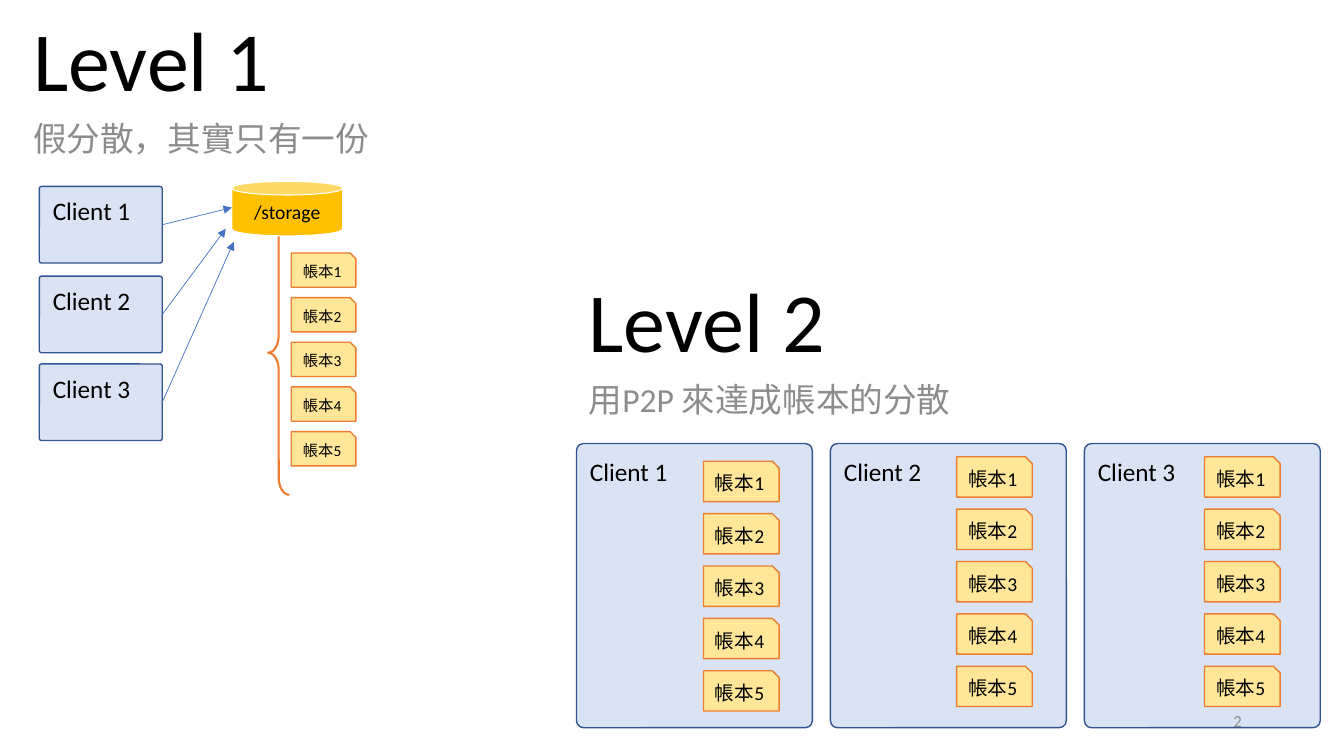
"""Build the slide comparing a shared ledger store (Level 1) with P2P ledgers (Level 2)."""
from pptx import Presentation
from pptx.dml.color import RGBColor
from pptx.enum import shapes as kinds, text as txt
from pptx.oxml.ns import qn
from pptx.util import Pt
from lxml import etree

FONT = "Calibri"
COLORS = {"ink": "000000", "grey": "8C8C8C", "client": "DAE3F3", "client_edge": "325491",
          "ledger": "FFE699", "ledger_edge": "ED7D31", "store": "FFC000",
          "store_edge": "FFFFFF", "arrow": "4472C4"}
LEVEL_1 = ("Level 1", "假分散，其實只有一份")
LEVEL_2 = ("Level 2", "用P2P 來達成帳本的分散")
CLIENTS = ["Client 1", "Client 2", "Client 3"]
LEDGERS = ["帳本1", "帳本2", "帳本3", "帳本4", "帳本5"]
STORAGE = "/storage"
PAGE_NUMBER = "2"

PANEL_LEFT, PANEL_TOP, PANEL_STEP = 411.8, 316.8, 181.4
PANEL_SIZE = (168.5, 203)
PANEL_LEDGERS = [(502.5, 329.5), (683.3, 326.3), (860.4, 326.3)]
PEER_LEDGER = {"size": (54, 28.8), "step": 37.4, "font_size": 14}
SHARED_LEDGER = {"size": (46.1, 24.5), "step": 31.9, "font_size": 11}
CLIENT_LEFT, CLIENT_TOPS, CLIENT_SIZE = 28.1, [133.2, 197.3, 260], (87.8, 54.7)
ARROW_ENDS = [(165.6, 148.3), (161.3, 163.4), (167, 172.8)]

prs = Presentation()
prs.slide_width, prs.slide_height = Pt(960), Pt(540)
slide = prs.slides.add_slide(prs.slide_layouts[1])
SHAPE, ANCHOR, ALIGN = kinds.MSO_SHAPE, txt.MSO_ANCHOR, txt.PP_ALIGN


def rgb(name):
    return RGBColor.from_string(COLORS[name])


def write(part, words, size, color="ink", anchor=ANCHOR.TOP, align=ALIGN.LEFT, wrap=True):
    frame = part.text_frame
    frame.text = words
    frame.auto_size = txt.MSO_AUTO_SIZE.NONE
    frame.word_wrap, frame.vertical_anchor = wrap, anchor
    paragraph = frame.paragraphs[0]
    paragraph.alignment = align
    paragraph.font.size, paragraph.font.name = Pt(size), FONT
    paragraph.font.color.rgb = rgb(color)
    return paragraph


def textbox(left, top, width, height):
    return slide.shapes.add_textbox(Pt(left), Pt(top), Pt(width), Pt(height))


def place(part, left, top, width, height):
    part.left, part.top, part.width, part.height = Pt(left), Pt(top), Pt(width), Pt(height)


def draw(kind, left, top, size, fill, edge, weight=1):
    part = slide.shapes.add_shape(kind, Pt(left), Pt(top), Pt(size[0]), Pt(size[1]))
    part.shadow.inherit = False
    if fill:
        part.fill.solid()
        part.fill.fore_color.rgb = rgb(fill)
    else:
        part.fill.background()
    part.line.color.rgb, part.line.width = rgb(edge), Pt(weight)
    return part


def write_heading(heading, subheading, level):
    write(heading, level[0], 60, anchor=ANCHOR.BOTTOM).line_spacing = 0.9
    line = write(subheading, level[1], 24, "grey")
    line.line_spacing, line.space_before = 0.9, Pt(10)
    return line


def draw_client(name, left, top, size):
    client = draw(SHAPE.ROUNDED_RECTANGLE, left, top, size, "client", "client_edge")
    client.adjustments[0] = 0.03
    write(textbox(left + 2.5, top + 2 + size[1] / 60, 73, 29), name, 18, wrap=False)
    return client


def draw_ledgers(left, top, size, step, font_size):
    for row, name in enumerate(LEDGERS):
        ledger = draw(SHAPE.SNIP_1_RECTANGLE, left, top + row * step, size,
                      "ledger", "ledger_edge")
        write(ledger, name, font_size, anchor=ANCHOR.MIDDLE, align=ALIGN.CENTER)


def draw_arrow(client, end):
    arrow = slide.shapes.add_connector(kinds.MSO_CONNECTOR.STRAIGHT, 0, 0, Pt(end[0]), Pt(end[1]))
    arrow.begin_connect(client, 3)
    arrow.line.color.rgb, arrow.line.width = rgb("arrow"), Pt(0.5)
    etree.SubElement(arrow.line._get_or_add_ln(), qn("a:tailEnd"), type="triangle")
    etree.SubElement(arrow._element.spPr, qn("a:effectLst"))


title, subtitle = slide.placeholders
place(title, 413.3, 179.3, 438.5, 89.3)
place(subtitle, 413.3, 270, 438.5, 52.6)
properties = write_heading(title, subtitle, LEVEL_2)._p.get_or_add_pPr()
properties.set("marL", "0")
properties.set("indent", "0")
etree.SubElement(properties, qn("a:buNone"))

for column, (name, (left, top)) in enumerate(zip(CLIENTS, PANEL_LEDGERS)):
    draw_client(name, PANEL_LEFT + column * PANEL_STEP, PANEL_TOP, PANEL_SIZE)
    draw_ledgers(left, top, **PEER_LEDGER)

clients = [draw_client(name, CLIENT_LEFT, top, CLIENT_SIZE)
           for name, top in zip(CLIENTS, CLIENT_TOPS)]
draw_ledgers(208.1, 180.7, **SHARED_LEDGER)
brace = draw(SHAPE.LEFT_BRACE, 191.5, 150.5, (15.1, 203), None, "ledger_edge", 1.5)
brace.adjustments[0] = 0.8
storage = draw(SHAPE.CAN, 165.6, 129.6, (79.2, 38.9), "store", "store_edge", 0.75)
write(storage, STORAGE, 14, align=ALIGN.CENTER)
for client, end in zip(clients, ARROW_ENDS):
    draw_arrow(client, end)

write_heading(textbox(16.6, -7.2, 272.9, 89.3), textbox(16.6, 84.2, 257, 52.6), LEVEL_1)
write(textbox(678.2, 500.4, 216, 28.8), PAGE_NUMBER, 12, "grey", ANCHOR.MIDDLE, ALIGN.RIGHT)

prs.save("out.pptx")
